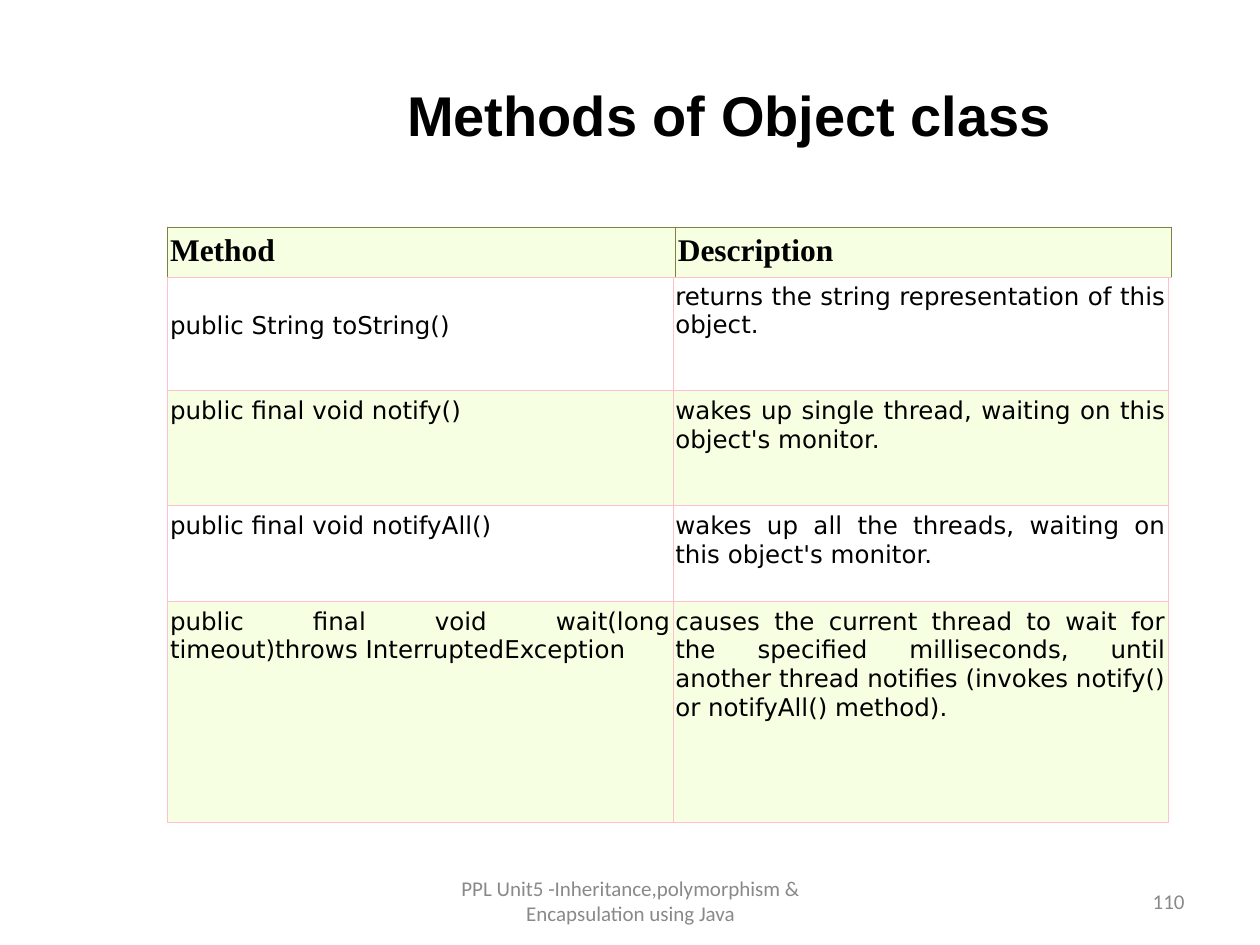
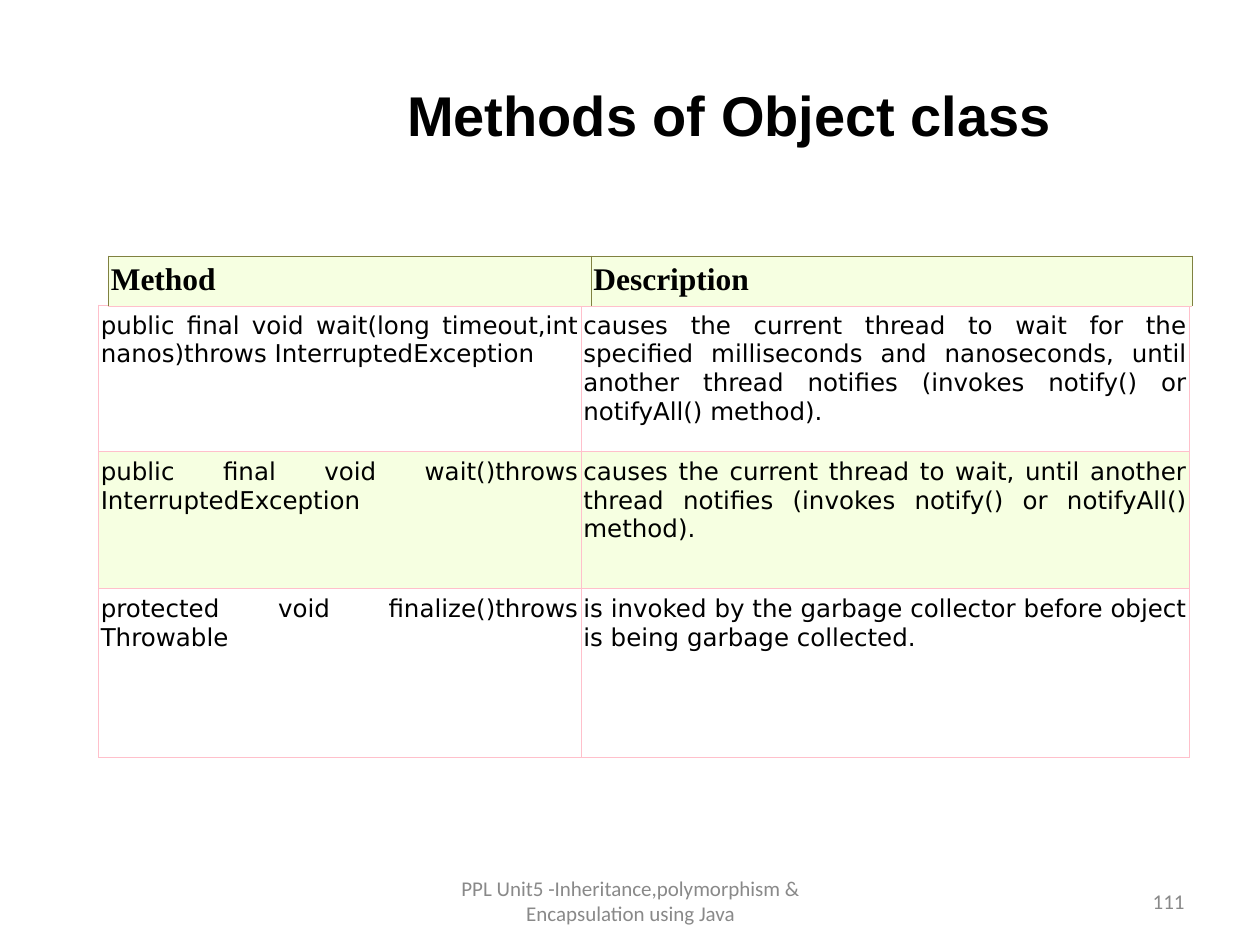
from pptx import Presentation
from pptx import util as u
from pptx.dml.color import RGBColor
from pptx.enum import text as t
from pptx.oxml import parse_xml
from pptx.oxml.ns import nsdecls

BLACK = RGBColor(0x00, 0x00, 0x00)
GREY = RGBColor(0x89, 0x89, 0x89)
WHITE = RGBColor(0xFF, 0xFF, 0xFF)
LIME = RGBColor(0xF6, 0xFF, 0xE1)
PINK = RGBColor(0xFF, 0xC0, 0xCB)
OLIVE = RGBColor(0x80, 0x81, 0x40)

COLS, ROWS = 100, 75
TITLE = "Methods of Object class"
FOOT = "PPL Unit5 -Inheritance,polymorphism & Encapsulation using Java"
HEADS = ["Method", "Description"]
LINE = 2.3

FIRST = [
    ["public String toString()",
     "returns the string representation of this object."],
    ["public final void notify()",
     "wakes up single thread, waiting on this object's monitor."],
    ["public final void notifyAll()",
     "wakes up all the threads, waiting on this object's monitor."],
    ["public final void wait(long timeout)throws InterruptedException",
     "causes the current thread to wait for the specified milliseconds, "
     "until another thread notifies (invokes notify() or notifyAll() method)."],
]
NEXT = [
    ["public final void wait(long timeout,int nanos)throws InterruptedException",
     "causes the current thread to wait for the specified milliseconds and nanoseconds, "
     "until another thread notifies (invokes notify() or notifyAll() method)."],
    ["public final void wait()throws InterruptedException",
     "causes the current thread to wait, until another thread notifies "
     "(invokes notify() or notifyAll() method)."],
    ["protected void finalize()throws Throwable",
     "is invoked by the garbage collector before object is being garbage collected."],
]


class Deck:
    """Holds the shared style and the slide being built, on a 100 by 75 grid."""

    def __init__(self):
        self.prs = Presentation()
        self.prs.slide_width = u.Inches(10)
        self.prs.slide_height = u.Inches(7.5)
        self.slide = None

    def wide(self, cols):
        return round(self.prs.slide_width * cols / COLS)

    def high(self, rows):
        return round(self.prs.slide_height * rows / ROWS)

    def area(self, x, y, w, h):
        return self.wide(x), self.high(y), self.wide(w), self.high(h)

    def label(self, frame, words, face, size, color, align, bold=False):
        frame.word_wrap = True
        para = frame.paragraphs[0]
        para.alignment = align
        run = para.add_run()
        run.text = words
        font = run.font
        font.name, font.size, font.bold = face, u.Pt(size), bold
        font.color.rgb = color

    def page(self, number):
        self.slide = self.prs.slides.add_slide(self.prs.slide_layouts[5])
        title = self.slide.shapes.title
        title.left, title.top, title.width, title.height = self.area(20.9, 2.8, 74, 12.5)
        title.text_frame.vertical_anchor = t.MSO_ANCHOR.MIDDLE
        self.label(title.text_frame, TITLE, "Arial", 32, BLACK, t.PP_ALIGN.CENTER, True)
        self.note(FOOT, 34.2, 31.7, t.PP_ALIGN.CENTER)
        self.note(str(number), 71.7, 23.3, t.PP_ALIGN.RIGHT)

    def note(self, words, x, w, align):
        box = self.slide.shapes.add_textbox(*self.area(x, 69.5, w, 4))
        box.text_frame.vertical_anchor = t.MSO_ANCHOR.MIDDLE
        self.label(box.text_frame, words, "Calibri", 12, GREY, align)

    def edge(self, cell, color, base):
        props = cell._tc.get_or_add_tcPr()
        for side, tint in zip("LRTB", (color, color, color, base)):
            props.append(parse_xml(
                f'<a:ln{side} {nsdecls("a")} w="{u.Pt(0.34)}"><a:solidFill>'
                f'<a:srgbClr val="{tint}"/></a:solidFill></a:ln{side}>'))

    def grid(self, x, y, cols, rows, data, fills, color, style):
        frame = self.slide.shapes.add_table(
            len(rows), len(cols), *self.area(x, y, sum(cols), sum(rows)))
        table = frame.table
        table.first_row = table.horz_banding = False
        for col, w in zip(table.columns, cols):
            col.width = self.wide(w)
        for i, (row, h, line) in enumerate(zip(table.rows, rows, data)):
            row.height = self.high(h)
            for cell, words in zip(row.cells, line):
                self.edge(cell, color, PINK)
                cell.fill.solid()
                cell.fill.fore_color.rgb = fills[i % len(fills)]
                cell.margin_left = cell.margin_right = self.wide(0.2)
                cell.margin_top = cell.margin_bottom = self.high(0.5)
                self.label(cell.text_frame, words, *style)
        return table

    def head(self, x, y, cols):
        style = "Times New Roman", 18, BLACK, t.PP_ALIGN.LEFT, True
        return self.grid(x, y, cols, [3.8], [HEADS], [LIME], OLIVE, style)

    def body(self, x, y, cols, rows, data):
        style = "DejaVu Sans", 14, BLACK, t.PP_ALIGN.JUSTIFY
        return self.grid(x, y, cols, rows, data, [WHITE, LIME], PINK, style)


def main():
    deck = Deck()
    deck.page(110)
    table = deck.body(13.3, 21.9, [40.1, 39.3], [9.1, 9.1, 7.6, 17.6], FIRST)
    table.cell(0, 0).margin_top = deck.high(0.5 + LINE)
    deck.head(13.3, 18, [40.3, 39.4])

    deck.page(111)
    deck.body(7.8, 24.2, [38.3, 48.3], [11.6, 10.9, 13.4], NEXT)
    deck.head(8.6, 20.3, [38.3, 47.7])
    deck.prs.save("out.pptx")


if __name__ == "__main__":
    main()
